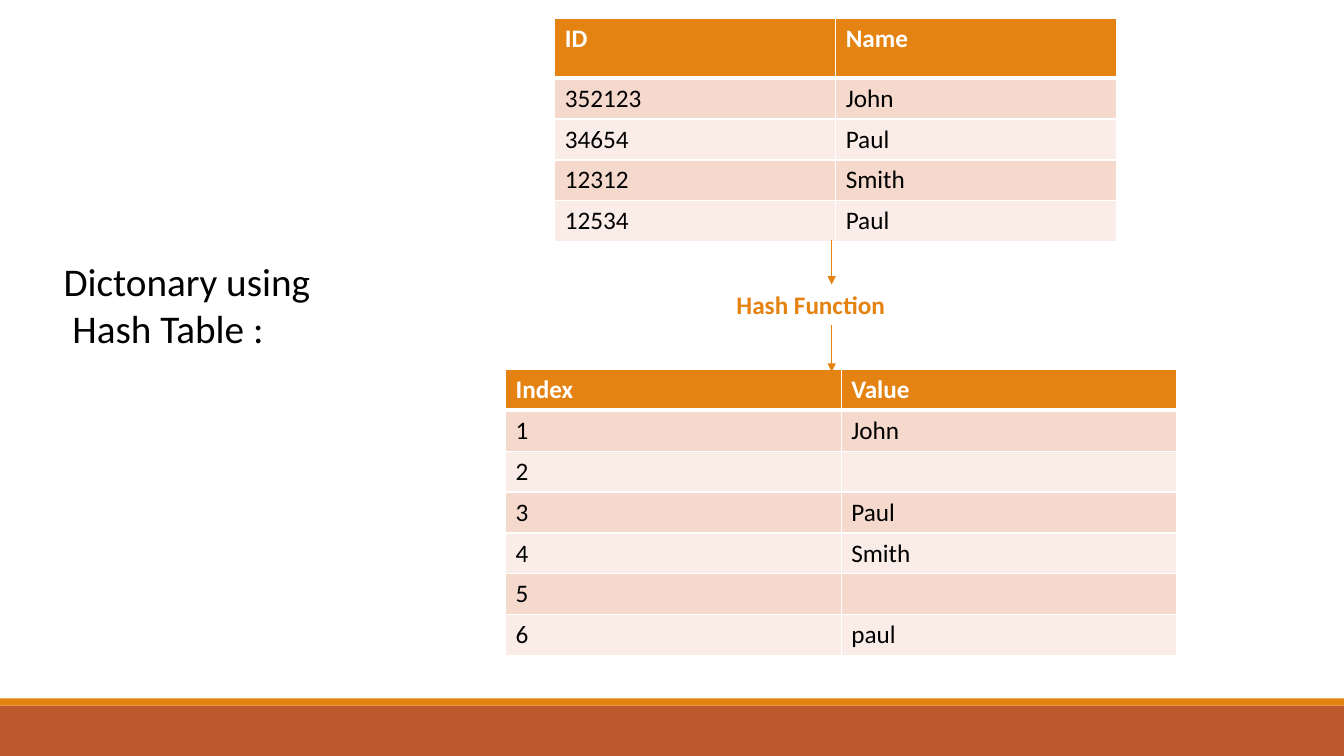
import lxml.etree
import pptx
import pptx.dml.color
import pptx.enum.shapes
import pptx.enum.text
import pptx.oxml.ns
import pptx.util

Cm = pptx.util.Cm
ORANGE, RUST, WHITE, BLACK = "E48312", "BD582C", "FFFFFF", "000000"
BANDS = ("F5D9CC", "FAEDE7")
ROW_HEIGHT = 1.03
RECORDS = [("ID", "Name"), ("352123", "John"), ("34654", "Paul"),
           ("12312", "Smith"), ("12534", "Paul")]
BUCKETS = [("Index", "Value"), ("1", "John"), ("2", ""), ("3", "Paul"),
           ("4", "Smith"), ("5", ""), ("6", "paul")]


def color(value):
    """Turn a hex string into a colour."""
    return pptx.dml.color.RGBColor.from_string(value)


def add_child(parent, name, **attributes):
    """Append a drawing element to its parent."""
    return lxml.etree.SubElement(parent, pptx.oxml.ns.qn(name), attributes)


def add_run(paragraph, text, size, hex_color, bold=False):
    """Add one formatted run."""
    run = paragraph.add_run()
    run.text = text
    run.font.name = "Calibri"
    run.font.size = pptx.util.Pt(size)
    run.font.bold = bold
    run.font.color.rgb = color(hex_color)


def set_borders(cell, bottom):
    """Give a cell white borders, with its own bottom width in points."""
    properties = cell._tc.get_or_add_tcPr()
    widths = {"a:lnL": 1, "a:lnR": 1, "a:lnT": 1, "a:lnB": bottom}
    for position, (side, width) in enumerate(widths.items()):
        line = add_child(properties, side, w=str(pptx.util.Pt(width)))
        add_child(add_child(line, "a:solidFill"), "a:srgbClr", val=WHITE)
        properties.insert(position, line)


def add_banded_table(slide, rows, left, top, width, header_height):
    """Draw a table with an orange header and banded rows."""
    columns = len(rows[0])
    height = header_height + ROW_HEIGHT * (len(rows) - 1)
    table = slide.shapes.add_table(len(rows), columns, Cm(left), Cm(top),
                                   Cm(width), Cm(height)).table
    for column in table.columns:
        column.width = Cm(width / columns)
    for row_index, texts in enumerate(rows):
        header = row_index == 0
        table.rows[row_index].height = Cm(header_height if header else ROW_HEIGHT)
        for column_index, text in enumerate(texts):
            cell = table.cell(row_index, column_index)
            cell.fill.solid()
            cell.fill.fore_color.rgb = color(
                ORANGE if header else BANDS[(row_index - 1) % 2])
            set_borders(cell, 3 if header else 1)
            if text:
                add_run(cell.text_frame.paragraphs[0], text, 18,
                        WHITE if header else BLACK, header)


def add_arrow(slide, x, top, bottom):
    """Draw a downward orange arrow."""
    arrow = slide.shapes.add_connector(pptx.enum.shapes.MSO_CONNECTOR.STRAIGHT,
                                       Cm(x), Cm(top), Cm(x), Cm(bottom))
    arrow.line.color.rgb = color(ORANGE)
    arrow.line.width = pptx.util.Pt(1)
    add_child(arrow.line._get_or_add_ln(), "a:tailEnd", type="triangle")
    add_child(arrow._element.spPr, "a:effectLst")


def add_hash_step(slide, left, top, width, height):
    """Draw the hash function label between its two arrows."""
    label_top, label_height, arrow_x = top + 1.12, 1.02, left + 2.65
    label = slide.shapes.add_textbox(Cm(left), Cm(label_top),
                                     Cm(width), Cm(label_height))
    label.text_frame.word_wrap = True
    add_run(label.text_frame.paragraphs[0], "Hash Function", 18, ORANGE, True)
    add_arrow(slide, arrow_x, top, label_top)
    add_arrow(slide, arrow_x, label_top + label_height, top + height)


def add_title(slide, left, top, width, height):
    """Place the two-line title."""
    title = slide.shapes.title
    title.left, title.top = Cm(left), Cm(top)
    title.width, title.height = Cm(width), Cm(height)
    frame = title.text_frame
    frame.word_wrap = True
    frame.auto_size = pptx.enum.text.MSO_AUTO_SIZE.NONE
    frame.vertical_anchor = pptx.enum.text.MSO_ANCHOR.TOP
    for index, text in enumerate(("Dictonary using", " Hash Table :")):
        paragraph = frame.add_paragraph() if index else frame.paragraphs[0]
        paragraph.alignment = pptx.enum.text.PP_ALIGN.LEFT
        add_run(paragraph, text, 28, BLACK)


def add_footer_bands(slide, left, top, width, height):
    """Draw the thin orange band above the rust band."""
    thin = 0.18
    for offset, band_height, fill in ((thin, height - thin, RUST), (0, thin, ORANGE)):
        band = slide.shapes.add_shape(pptx.enum.shapes.MSO_SHAPE.RECTANGLE, Cm(left),
                                      Cm(top + offset), Cm(width), Cm(band_height))
        band.shadow.inherit = False
        band.fill.solid()
        band.fill.fore_color.rgb = color(fill)
        band.line.fill.background()


def main():
    """Build and save the presentation."""
    presentation = pptx.Presentation()
    presentation.slide_width, presentation.slide_height = Cm(33.87), Cm(19.05)
    slide = presentation.slides.add_slide(presentation.slide_layouts[5])
    add_footer_bands(slide, 0, 17.6, 33.87, 1.45)
    add_banded_table(slide, BUCKETS, 12.74, 9.31, 16.92, ROW_HEIGHT)
    add_banded_table(slide, RECORDS, 13.98, 0.47, 14.16, 1.5)
    add_hash_step(slide, 18.31, 6.05, 8.64, 3.32)
    add_title(slide, 1.35, 6.35, 8.28, 2.64)
    presentation.save("out.pptx")


if __name__ == "__main__":
    main()
